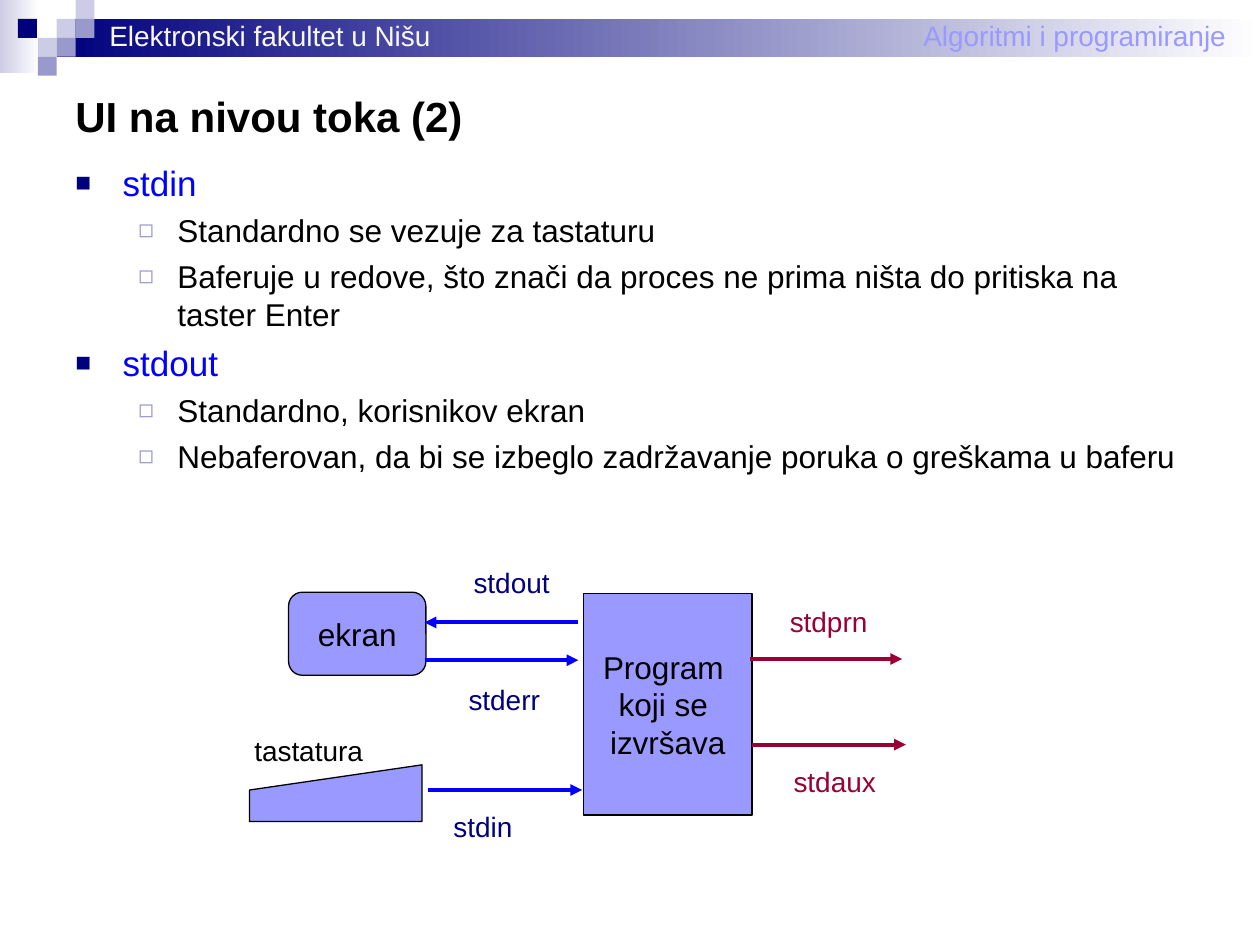
from lxml.etree import SubElement
from pptx import Presentation
from pptx.dml.color import RGBColor
from pptx.enum.shapes import MSO_CONNECTOR, MSO_SHAPE
from pptx.enum.text import MSO_ANCHOR, PP_ALIGN
from pptx.oxml.ns import qn
from pptx.util import Inches, Pt

WHITE = RGBColor(0xFF, 0xFF, 0xFF)
BLACK = RGBColor(0x00, 0x00, 0x00)
NAVY = RGBColor(0x00, 0x00, 0x7D)
BLUE = RGBColor(0x00, 0x00, 0xFF)
LILAC = RGBColor(0x99, 0x99, 0xFF)
MAUVE = RGBColor(0x99, 0x99, 0xCC)
PALE = RGBColor(0xCC, 0xCC, 0xE6)
OFF_WHITE = RGBColor(0xF8, 0xF8, 0xF8)
WINE = RGBColor(0x99, 0x00, 0x33)

prs = Presentation()
prs.slide_width, prs.slide_height = Inches(10), Inches(7.5)
slide = prs.slides.add_slide(prs.slide_layouts[6])
shapes = slide.shapes
CELL = prs.slide_width / 100  # the slide is a grid of 100 columns by 75 rows


def grid(*cells):
    """Turn columns and rows into slide lengths."""
    return [round(c * CELL) for c in cells]


def add_run(p, text, size, color, bold=False):
    r = p.add_run()
    r.text = text
    r.font.name, r.font.size, r.font.bold = "Arial", Pt(size), bold
    r.font.color.rgb = color


# Header: fading bands, then the mosaic of squares
for x, y, w, h, color in [(0, 0, 3.1, 5.8, PALE), (4.5, 1.5, 95.5, 3, NAVY)]:
    s = shapes.add_shape(MSO_SHAPE.RECTANGLE, *grid(x, y, w, h))
    s.shadow.inherit = False
    s.line.fill.background()
    s.fill.gradient()
    s.fill.gradient_angle = 0
    for stop, stop_color in zip(s.fill.gradient_stops, (color, WHITE)):
        stop.color.rgb = stop_color

SQUARE = 1.5
for col, row, color in [(3, 1, PALE), (4, 0, PALE), (4, 1, MAUVE), (2, 2, PALE),
                        (0.95, 1, NAVY), (3, 2, MAUVE), (2, 3, MAUVE)]:
    s = shapes.add_shape(MSO_SHAPE.RECTANGLE,
                         *grid(col * SQUARE, row * SQUARE, SQUARE, SQUARE))
    s.shadow.inherit = False
    s.fill.solid()
    s.fill.fore_color.rgb = color
    s.line.fill.background()

# Title
s = shapes.add_textbox(*grid(5, 5.6, 90, 7.2))
tf = s.text_frame
tf.word_wrap = True
tf.vertical_anchor = MSO_ANCHOR.MIDDLE
add_run(tf.paragraphs[0], "UI na nivou toka (2)", 24, BLACK, bold=True)

# Bulleted text; each level: indent, hanging, bullet, its colour and size, text size and colour, space before
LEVELS = [
    (3.75, 3.75, "■", NAVY, 75, 20, BLUE, 5),
    (8.1, 3.1, "◻", MAUVE, 80, 18, BLACK, 4.5),
]
BODY = [
    (0, "stdin"),
    (1, "Standardno se vezuje za tastaturu"),
    (1, "Baferuje u redove, što znači da proces ne prima ništa do pritiska na taster Enter"),
    (0, "stdout"),
    (1, "Standardno, korisnikov ekran"),
    (1, "Nebaferovan, da bi se izbeglo zadržavanje poruka o greškama u baferu"),
]
tf = shapes.add_textbox(*grid(5, 12.3, 91.5, 29.6)).text_frame
tf.word_wrap = True
for i, (level, text) in enumerate(BODY):
    indent, hanging, bullet, bullet_color, percent, size, color, before = LEVELS[level]
    p = tf.add_paragraph() if i else tf.paragraphs[0]
    p.level = level
    pPr = p._p.get_or_add_pPr()
    left, hang = grid(indent, hanging)
    pPr.set("marL", str(left))
    pPr.set("indent", str(-hang))
    SubElement(SubElement(pPr, qn("a:buClr")), qn("a:srgbClr"), val=str(bullet_color))
    SubElement(pPr, qn("a:buSzPct"), val=str(percent * 1000))
    SubElement(pPr, qn("a:buFont"), typeface="Arial")
    SubElement(pPr, qn("a:buChar"), char=bullet)
    p.space_before = Pt(before if i else 0)
    add_run(p, text, size, color)

# Devices and the running program
screen = shapes.add_shape(MSO_SHAPE.ROUNDED_RECTANGLE, *grid(22.9, 47, 10.9, 6.6))
program = shapes.add_shape(MSO_SHAPE.RECTANGLE, *grid(46.3, 47.1, 13.4, 17.6))
outline = shapes.build_freeform(*grid(19.8, 62.7))
outline.add_line_segments([grid(19.8, 65.2), grid(33.5, 65.2), grid(33.5, 60.7)], close=True)
keyboard = outline.convert_to_shape()

for s, lines in [(screen, ["ekran"]),
                 (program, ["Program ", "koji se ", "izvršava"]),
                 (keyboard, [])]:
    s.shadow.inherit = False
    s.fill.solid()
    s.fill.fore_color.rgb = LILAC
    s.line.color.rgb = BLACK
    s.line.width = Pt(0.75)
    tf = s.text_frame
    tf.word_wrap = False
    tf.vertical_anchor = MSO_ANCHOR.MIDDLE
    for i, text in enumerate(lines):
        p = tf.add_paragraph() if i else tf.paragraphs[0]
        p.alignment = PP_ALIGN.CENTER
        add_run(p, text, 18, BLACK)

# Stream arrows: start column, end column, row
for start, end, row, color in [(45.9, 33.7, 49.4, BLUE), (33.7, 45.9, 52.4, BLUE),
                               (59.5, 71.6, 52.3, WINE), (59.7, 71.9, 59.1, WINE),
                               (34, 46.2, 62.7, BLUE)]:
    s = shapes.add_connector(MSO_CONNECTOR.STRAIGHT, *grid(start, row, end, row))
    s.line.color.rgb = color
    s.line.width = Pt(2.25)
    SubElement(s.line._get_or_add_ln(), qn("a:tailEnd"), type="triangle")
    SubElement(s._element.spPr, qn("a:effectLst"))

# Header texts and diagram labels, each box a little wider than its text
for x, y, w, text, color in [
    (72.3, 1, 26.5, "Algoritmi i programiranje", LILAC),
    (7.7, 0.95, 28, "Elektronski fakultet u Nišu", OFF_WHITE),
    (19.2, 57.7, 11, "tastatura", BLACK),
    (35, 63.8, 7.2, "stdin", NAVY),
    (36.2, 53.7, 8.1, "stderr", NAVY),
    (36.6, 44.4, 8.5, "stdout", NAVY),
    (61.7, 47.5, 8.6, "stdprn", WINE),
    (62, 60.2, 9, "stdaux", WINE),
]:
    tf = shapes.add_textbox(*grid(x, y, w, 3.7)).text_frame
    tf.word_wrap = False
    add_run(tf.paragraphs[0], text, 16, color)

prs.save("out.pptx")
